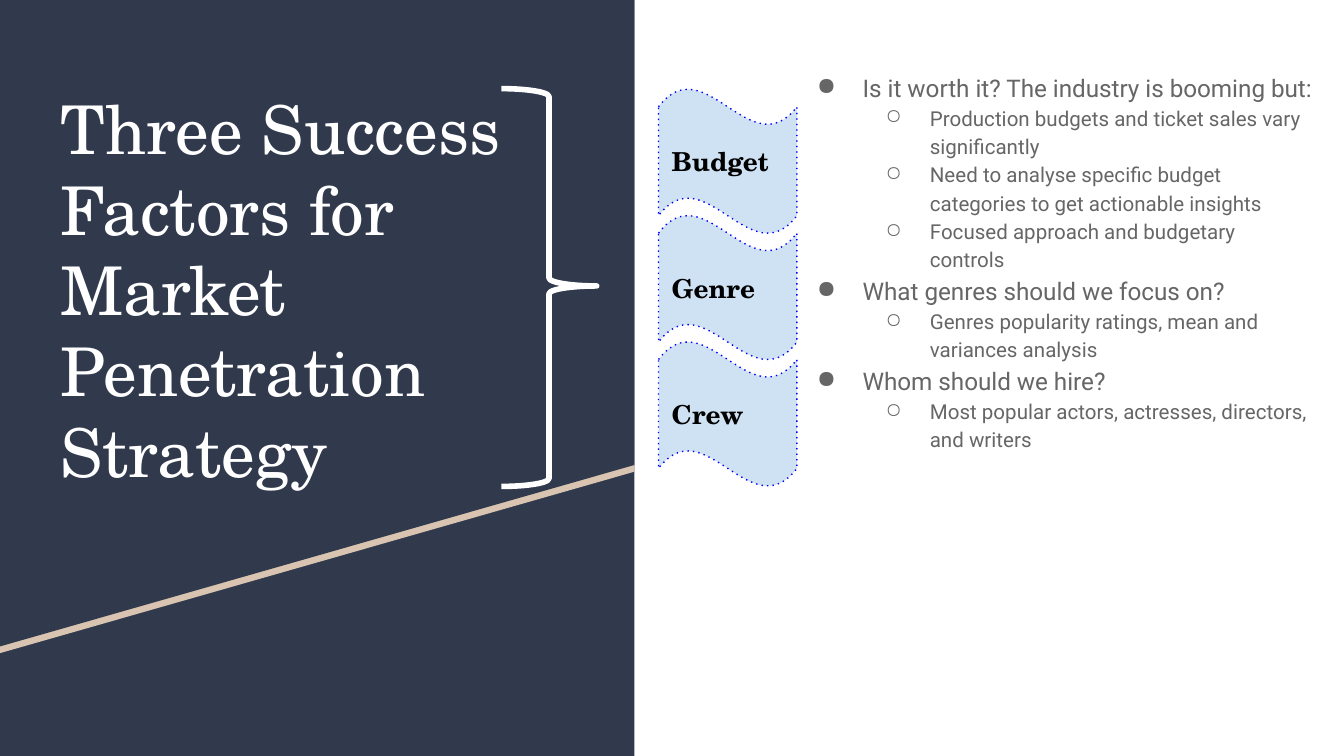
from lxml import etree
from pptx import Presentation
from pptx.dml.color import RGBColor
from pptx.enum.dml import MSO_LINE
from pptx.enum.shapes import MSO_SHAPE
from pptx.enum.text import MSO_ANCHOR, PP_ALIGN
from pptx.oxml.ns import qn
from pptx.util import Inches, Pt

RECTANGLE = MSO_SHAPE.RECTANGLE
BRACE = MSO_SHAPE.RIGHT_BRACE
WAVE = MSO_SHAPE.WAVE
DOTTED = MSO_LINE.ROUND_DOT
MIDDLE = MSO_ANCHOR.MIDDLE
LEFT = PP_ALIGN.LEFT

COLORS = {
    "navy": "31394D",
    "sand": "D9C4B1",
    "white": "FFFFFF",
    "gray": "666666",
    "sky": "CFE2F3",
    "blue": "0000FF",
    "black": "000000",
}
SERIF = "TeX Gyre Schola"
SANS = "Roboto"
PANEL_WIDTH = 4.72


def paint(shape, fill):
    shape.shadow.inherit = False
    shape.fill.solid()
    shape.fill.fore_color.rgb = RGBColor.from_string(COLORS[fill])
    shape.line.fill.background()


def style(para, font_name, size, color, bold=False):
    para.alignment = LEFT
    para.font.name = font_name
    para.font.size = Pt(size)
    para.font.bold = bold
    para.font.color.rgb = RGBColor.from_string(COLORS[color])


deck = Presentation()
deck.slide_width = Inches(10)
deck.slide_height = Inches(10) * 9 // 16
page = deck.slides.add_slide(deck.slide_layouts[6])
shapes = page.shapes

panel = shapes.add_shape(RECTANGLE, 0, 0, Inches(PANEL_WIDTH), deck.slide_height)
paint(panel, "navy")

for top, color in [(0.05, "sand"), (0, "navy")]:
    builder = shapes.build_freeform(0, Inches(top))
    corners = [(PANEL_WIDTH, top), (PANEL_WIDTH, top + 3.46), (0, top + 4.81)]
    builder.add_line_segments([(Inches(x), Inches(y)) for x, y in corners])
    paint(builder.convert_to_shape(), color)

title = shapes.add_textbox(Inches(0.35), Inches(0.55), Inches(4.05), Inches(2.74))
title_frame = title.text_frame
title_frame.word_wrap = True
title_frame.text = "Three Success Factors for Market Penetration Strategy"
style(title_frame.paragraphs[0], SERIF, 36, "white")

questions = [
    ("Is it worth it? The industry is booming but:", [
        "Production budgets and ticket sales vary significantly",
        "Need to analyse specific budget categories to get actionable insights",
        "Focused approach and budgetary controls",
    ]),
    ("What genres should we focus on?", [
        "Genres popularity ratings, mean and variances analysis",
    ]),
    ("Whom should we hire?", [
        "Most popular actors, actresses, directors, and writers",
    ]),
]
LEVELS = [("●", 0.5, -0.34, 13), ("○", 1, -0.33, 11)]

body = shapes.add_textbox(Inches(5.82), Inches(0.41), Inches(4.05), Inches(4.48))
body_frame = body.text_frame
body_frame.word_wrap = True
lines = []
for question, points in questions:
    lines.append((0, question))
    lines.extend((1, point) for point in points)

for index, (level, text) in enumerate(lines):
    para = body_frame.add_paragraph() if index else body_frame.paragraphs[0]
    para.text = text
    para.level = level
    para.line_spacing = 1.15
    bullet, margin, indent, size = LEVELS[level]
    properties = para._p.get_or_add_pPr()
    properties.set("marL", str(Inches(margin)))
    properties.set("indent", str(Inches(indent)))
    bullet_color = etree.SubElement(properties, qn("a:buClr"))
    etree.SubElement(bullet_color, qn("a:srgbClr"), val=COLORS["gray"])
    etree.SubElement(properties, qn("a:buChar"), char=bullet)
    style(para, SANS, size, "gray")

for frame in (title_frame, body_frame):
    frame.margin_left = frame.margin_right = Inches(0.1)
    frame.margin_top = frame.margin_bottom = Inches(0.1)

brace = shapes.add_shape(BRACE, Inches(3.73), Inches(0.66), Inches(0.71), Inches(2.96))
brace.shadow.inherit = False
brace.adjustments[0] = 0.083
brace.adjustments[1] = 0.496
brace.fill.background()
brace.line.color.rgb = RGBColor.from_string(COLORS["white"])
brace.line.width = Pt(3)

for index, factor in enumerate(["Budget", "Genre", "Crew"]):
    top = 0.66 + index * 0.94
    wave = shapes.add_shape(WAVE, Inches(4.9), Inches(top), Inches(1.03), Inches(1.08))
    paint(wave, "sky")
    wave.adjustments[0] = 0.125
    wave.adjustments[1] = 0
    wave.line.color.rgb = RGBColor.from_string(COLORS["blue"])
    wave.line.width = Pt(0.75)
    wave.line.dash_style = DOTTED
    wave._element.find(".//" + qn("a:prstDash")).set("val", "dot")
    frame = wave.text_frame
    frame.word_wrap = True
    frame.vertical_anchor = MIDDLE
    frame.margin_left = frame.margin_right = Inches(0.1)
    frame.margin_top = frame.margin_bottom = Inches(0.1)
    frame.text = factor
    style(frame.paragraphs[0], SERIF, 14, "black", True)

deck.save("out.pptx")
